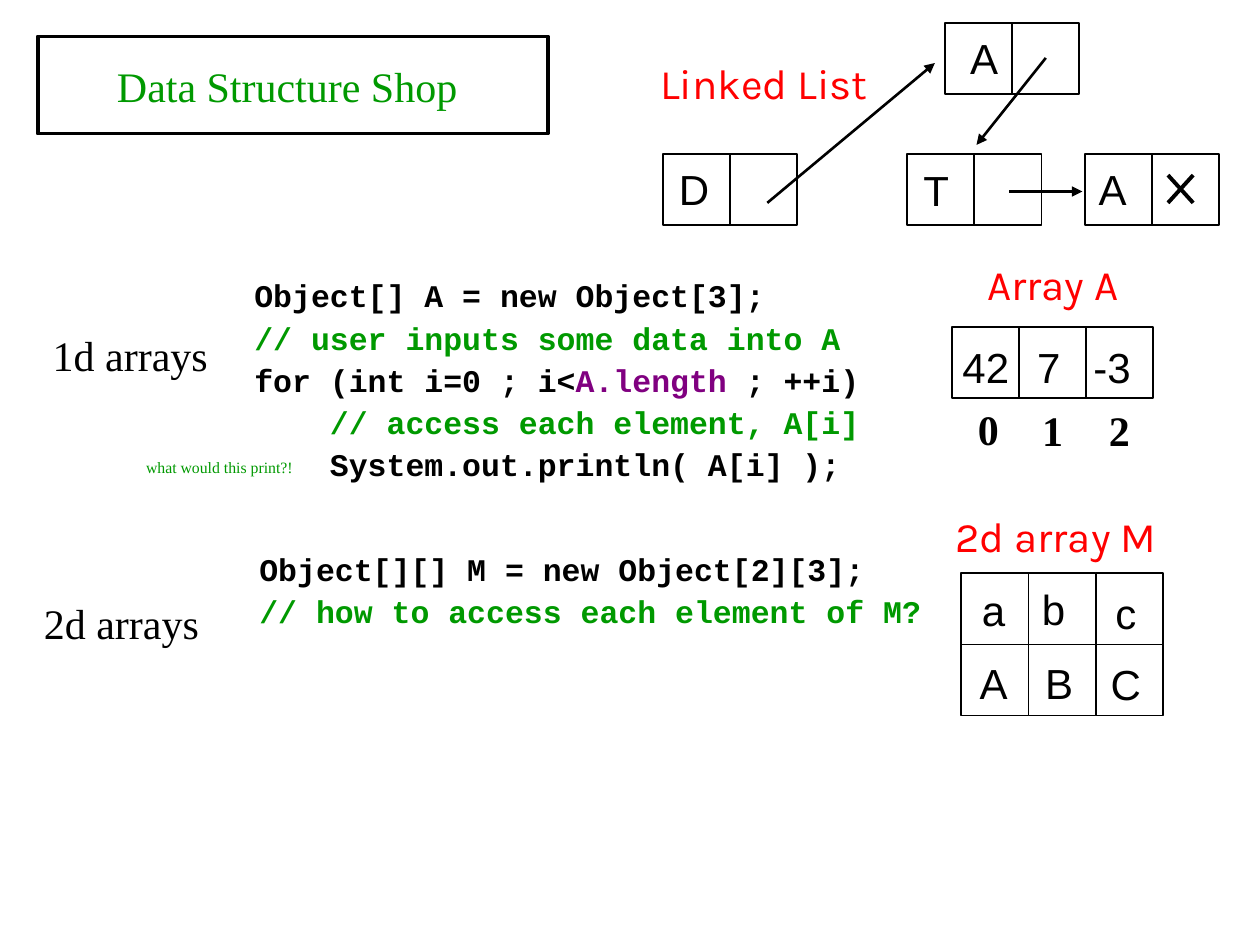
from lxml import etree
from pptx import Presentation, util as u
from pptx.dml.color import RGBColor
from pptx.enum import shapes, text
from pptx.oxml.ns import qn

BLACK, WHITE, GREEN, RED, PURPLE = "000000", "FFFFFF", "009900", "FF0000", "800080"
LEFT, CENTER, RIGHT = text.PP_ALIGN.LEFT, text.PP_ALIGN.CENTER, text.PP_ALIGN.RIGHT
SERIF, SANS, CODE, HEADING = "Times New Roman", "Arial", "Courier New", "Karla"
CELL_WIDTH, CELL_HEIGHT = 5.33, 5.65

presentation = Presentation()
presentation.slide_width, presentation.slide_height = u.Inches(10), u.Inches(7.5)
slide = presentation.slides.add_slide(presentation.slide_layouts[6])
# The slide is a grid of 100 columns and 75 rows of square units
unit = presentation.slide_width / 100


def add_text(box, lines, font, size=24, color=BLACK, align=LEFT, bold=False):
    """Write lines, each a list of (text, colour) runs or a plain string."""
    shape = slide.shapes.add_textbox(*(int(value * unit) for value in box))
    frame = shape.text_frame
    frame.word_wrap = True
    for index, line in enumerate(lines):
        paragraph = frame.paragraphs[0] if index == 0 else frame.add_paragraph()
        paragraph.alignment = align
        if font == CODE:
            paragraph.line_spacing = 0.6
            paragraph.space_before = u.Pt(11.2 if index else 0)
        runs = [(line, color)] if isinstance(line, str) else line
        for words, run_color in runs:
            run = paragraph.add_run()
            run.text = words
            run.font.color.rgb = RGBColor.from_string(run_color)
        paragraph.font.name, paragraph.font.size = font, u.Pt(size)
        paragraph.font.bold = bold
        for run in paragraph.runs:
            run.font.name, run.font.size, run.font.bold = font, u.Pt(size), bold


def add_line(start, end, width, arrow=False):
    ends = (int(value * unit) for value in start + end)
    connector = slide.shapes.add_connector(shapes.MSO_CONNECTOR.STRAIGHT, *ends)
    connector.line.width = u.Pt(width)
    connector.line.color.rgb = RGBColor.from_string(BLACK)
    if arrow:
        etree.SubElement(connector.line._get_or_add_ln(), qn("a:tailEnd"), type="triangle")
    etree.SubElement(connector._element.spPr, qn("a:effectLst"))


# Title frame, then rows of cells: list nodes, array A, array M
rectangles = [(3, 2.9, 40.5, 7.7, 2.25)]
for left, top, count in [
    (52.6, 12.2, 2), (72, 12.2, 2), (86.1, 12.2, 2), (75, 1.8, 2),
    (75.55, 25.95, 3), (76.3, 45.5, 3), (76.3, 45.5 + CELL_HEIGHT, 3),
]:
    for column in range(count):
        rectangles.append((left + column * CELL_WIDTH, top, CELL_WIDTH, CELL_HEIGHT, 1))
for *box, line_width in rectangles:
    shape = slide.shapes.add_shape(
        shapes.MSO_SHAPE.RECTANGLE, *(int(value * unit) for value in box))
    shape.shadow.inherit = False
    shape.fill.solid()
    shape.fill.fore_color.rgb = RGBColor.from_string(WHITE)
    shape.line.color.rgb = RGBColor.from_string(BLACK)
    shape.line.width = u.Pt(line_width)

# Title and side labels
add_text((3.3, 4.3, 39, 5), ["Data Structure Shop"], SERIF, color=GREEN, align=CENTER)
add_text((3.2, 25.7, 33.3, 5), ["1d arrays"], SERIF)
add_text((2.5, 46.9, 33.3, 5), ["2d arrays"], SERIF)
add_text((5, 35.8, 19.2, 2.5), ["what would this print?!"], SERIF, 9, GREEN, RIGHT)

# Code
add_text((19.2, 22.5, 54.8, 16.3), [
    "Object[] A = new Object[3];",
    [("// user inputs some data into A", GREEN)],
    [("for (int i=0 ; i<", BLACK), ("A.length", PURPLE), (" ; ++i)", BLACK)],
    [("    // access each element, A[i]", GREEN)],
    "    System.out.println( A[i] );",
], CODE, 18, bold=True)
add_text((19.6, 44.2, 54.8, 6.2), [
    "Object[][] M = new Object[2][3];",
    [("// how to access each element of M?", GREEN)],
], CODE, 18, bold=True)

# Headings of the diagrams
add_text((51.4, 4.1, 20.5, 9), ["Linked List"], HEADING, color=RED)
add_text((76.4, 20, 14.3, 9), ["Array A"], HEADING, color=RED, align=CENTER)
add_text((74.5, 40, 18.6, 9), ["2d array M"], HEADING, color=RED, align=CENTER)

# Values in the list nodes and array A
for value, left, top in [
    ("D", 52.9, 12.5), ("T", 72.3, 12.6), ("A", 86.2, 12.5), ("A", 76, 2.1),
    ("42", 75.4, 26.6), ("7", 81.33, 26.6), ("-3", 85.8, 26.6),
]:
    add_text((left, top, 7.9, 5), [value], SANS)

# Values in array M
for value, left, top in [
    ("a", 74.9, 45.9), ("b", 79.67, 45.8), ("c", 85.4, 46.1),
    ("A", 74.9, 51.7), ("B", 80.1, 51.7), ("C", 85.4, 51.8),
]:
    add_text((left, top, 7.9, 5), [value], SANS, align=CENTER)

# Indices of array A
for index, (left, top) in enumerate([(76.63, 31.5), (81.73, 31.6), (87.03, 31.6)]):
    add_text((left, top, 5.2, 5), [str(index)], SERIF, bold=True)

# Links between nodes, and the cross that ends the list
add_line((60.9, 16.1), (74.2, 5), 1.5, arrow=True)
add_line((83, 4.6), (77.5, 11.5), 1.5, arrow=True)
add_line((80.1, 15.2), (85.9, 15.2), 1.5, arrow=True)
add_line((92.7, 13.9), (94.7, 16.1), 2.25)
add_line((94.7, 13.9), (92.7, 16.1), 2.25)

presentation.save("out.pptx")
